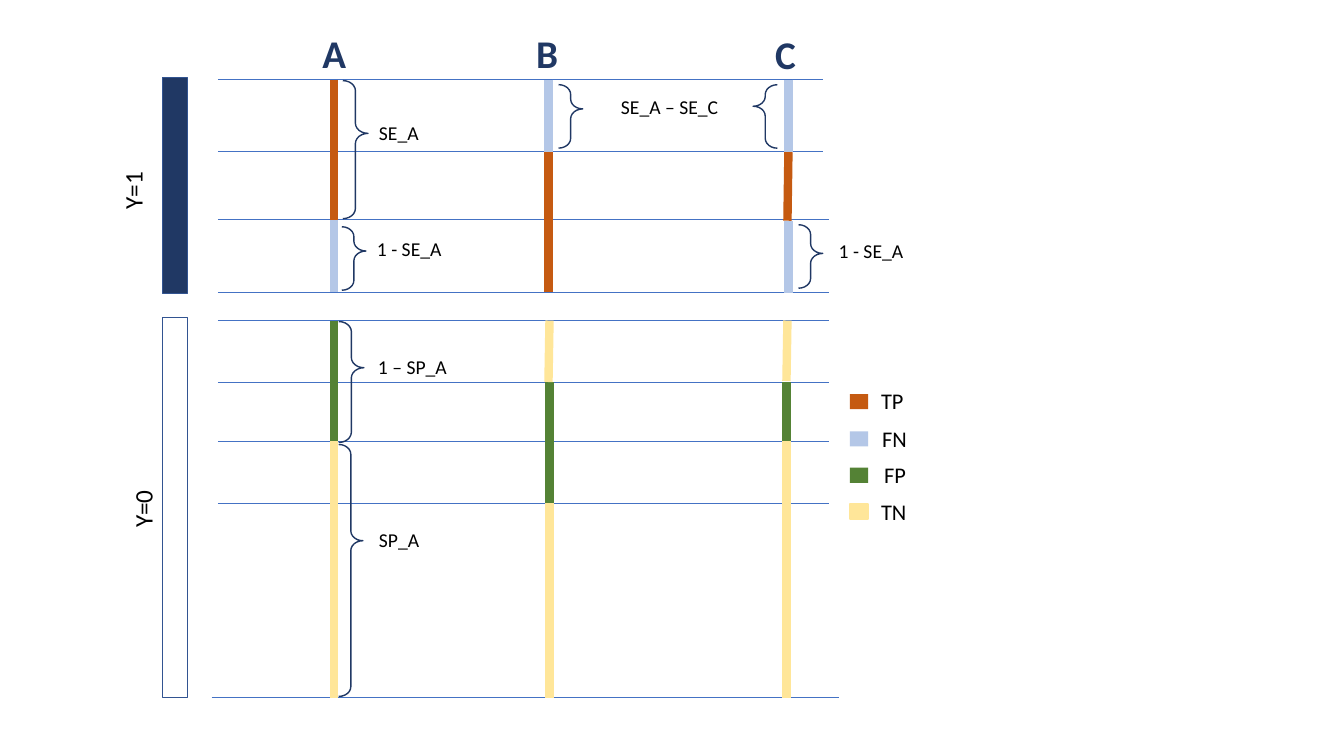
from lxml import etree
from pptx import Presentation
from pptx import util as u
from pptx.dml.color import RGBColor
from pptx.enum import shapes, text
from pptx.oxml.ns import qn

PX = 9144  # EMU per px, 100 px to the inch
NAVY = RGBColor(0x20, 0x38, 0x64)
OUTLINE = RGBColor(0x32, 0x54, 0x91)
RULE = RGBColor(0x44, 0x72, 0xC4)
BLACK = RGBColor(0, 0, 0)
WHITE = RGBColor(0xFF, 0xFF, 0xFF)
TP = RGBColor(0xC5, 0x5A, 0x11)
FN = RGBColor(0xB4, 0xC7, 0xE7)
FP = RGBColor(0x54, 0x82, 0x35)
TN = RGBColor(0xFF, 0xE6, 0x99)


class Diagram:
    """Holds the style and the current slide."""

    font = "Calibri"

    def __init__(self, prs):
        self.slide = prs.slides.add_slide(prs.slide_layouts[6])
        self.shapes = self.slide.shapes

    def _shape(self, kind, box, fill, line):
        shape = self.shapes.add_shape(kind, *(v * PX for v in box))
        shape.shadow.inherit = False
        if fill is None:
            shape.fill.background()
        else:
            shape.fill.solid()
            shape.fill.fore_color.rgb = fill
        if line is None:
            shape.line.fill.background()
        else:
            shape.line.color.rgb = line
            shape.line.width = u.Pt(1)
        return shape

    def rect(self, *box, fill, line=None):
        self._shape(shapes.MSO_SHAPE.RECTANGLE, box, fill, line)

    def brace(self, *box, point=0.382, rotation=0):
        brace = self._shape(shapes.MSO_SHAPE.RIGHT_BRACE, box, None, NAVY)
        brace.adjustments[0] = 0.405
        brace.adjustments[1] = point
        brace.rotation = rotation

    def line(self, x1, y1, x2, y2, color, width):
        line = self.shapes.add_connector(
            shapes.MSO_CONNECTOR.STRAIGHT, *(v * PX for v in (x1, y1, x2, y2)))
        line.line.color.rgb = color
        line.line.width = u.Pt(width)
        etree.SubElement(line._element.spPr, qn("a:effectLst"))

    def text(self, words, *box, size=14, color=BLACK, bold=False, rotation=0):
        label = self.shapes.add_textbox(*(v * PX for v in box))
        label.rotation = rotation
        frame = label.text_frame
        frame.word_wrap = True
        frame.auto_size = text.MSO_AUTO_SIZE.SHAPE_TO_FIT_TEXT
        run = frame.paragraphs[0].add_run()
        run.text = words
        run.font.name = self.font
        run.font.size = u.Pt(size)
        run.font.bold = bold
        run.font.color.rgb = color


def main():
    prs = Presentation()
    prs.slide_width, prs.slide_height = u.Inches(13.33), u.Inches(7.5)
    d = Diagram(prs)

    # Outcome bars
    d.rect(161, 77, 25, 214, fill=NAVY, line=OUTLINE)
    d.rect(161, 315, 25, 377, fill=WHITE, line=OUTLINE)
    for outcome, left, top in (("Y=1", 84, 150), ("Y=0", 94, 466)):
        d.text(outcome, left, top, 95, 40, size=18, rotation=270)

    # Horizontal rules
    for y in (79, 150):
        d.line(216, y, 816, y, RULE, 0.5)
    for y in (218, 290, 318, 379, 438, 499):
        d.line(216, y, 822, y, RULE, 0.5)
    d.line(210, 692, 832, 692, RULE, 0.5)

    # Column headings
    for test, left, top in (("A", 310, 24), ("B", 522, 24), ("C", 759, 25)):
        d.text(test, left, top, 66, 57, size=28, color=NAVY, bold=True)

    # Column segments: colour, top x and y, bottom x and y
    segments = (
        # Test A
        (TP, 331, 79, 331, 220), (FN, 331, 218, 331, 290),
        (FP, 331, 318, 331, 438), (TN, 331, 438, 331, 692),
        # Test B
        (TP, 544, 150, 544, 290), (FN, 544, 79, 544, 151),
        (FP, 545, 379, 545, 499), (TN, 545, 318, 544, 379),
        (TN, 545, 499, 545, 692),
        # Test C
        (TP, 782, 151, 781, 219), (FN, 782, 79, 782, 151),
        (FN, 782, 219, 782, 291), (FP, 780, 379, 780, 438),
        (TN, 781, 318, 780, 378), (TN, 780, 438, 780, 692),
    )
    for color, *ends in segments:
        d.line(*ends, color, 6)

    # Braces
    d.brace(340, 80, 25, 137)
    d.brace(339, 225, 24, 63)
    d.brace(554, 84, 24, 63)
    d.brace(747, 84, 24, 63, point=0.661, rotation=180)
    d.brace(792, 223, 24, 63, point=0.452)
    d.brace(336, 319, 25, 120)
    d.brace(336, 441, 24, 250)

    # Brace labels
    for words, left, top, width in (
            ("SE_A", 366, 115, 95), ("1 - SE_A", 364, 230, 140),
            ("SE_A – SE_C", 606, 89, 139), ("1 - SE_A", 822, 232, 140),
            ("1 – SP_A", 365, 347, 95), ("SP_A", 366, 519, 95)):
        d.text(words, left, top, width, 34)

    # Legend
    for key, color, edge, top, left, label_top in (
            ("TP", TP, None, 391, 864, 379), ("FN", FN, None, 428, 865, 417),
            ("FP", FP, None, 464, 867, 453), ("TN", TN, TN, 500, 864, 489)):
        d.rect(843, top, 18, 15, fill=color, line=edge)
        d.text(key, left, label_top, 65, 37, size=16)

    prs.save("out.pptx")


if __name__ == "__main__":
    main()
